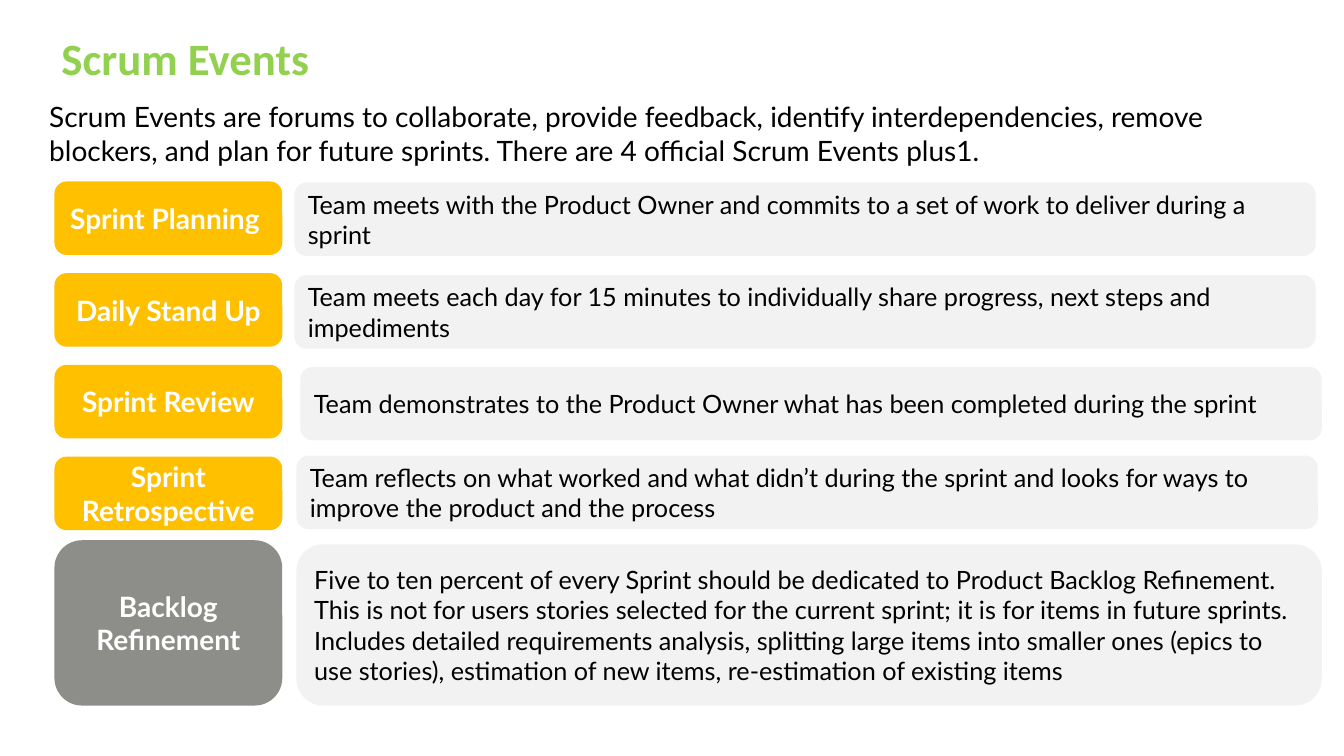
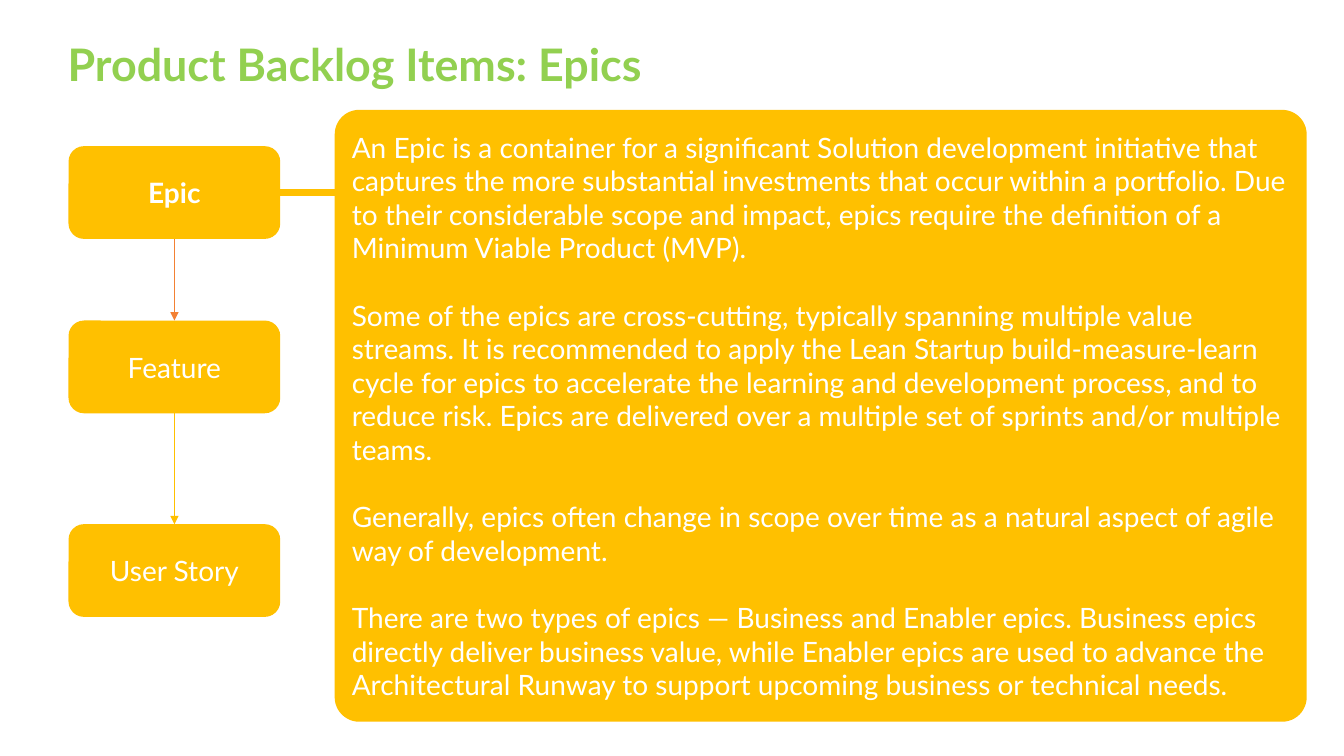
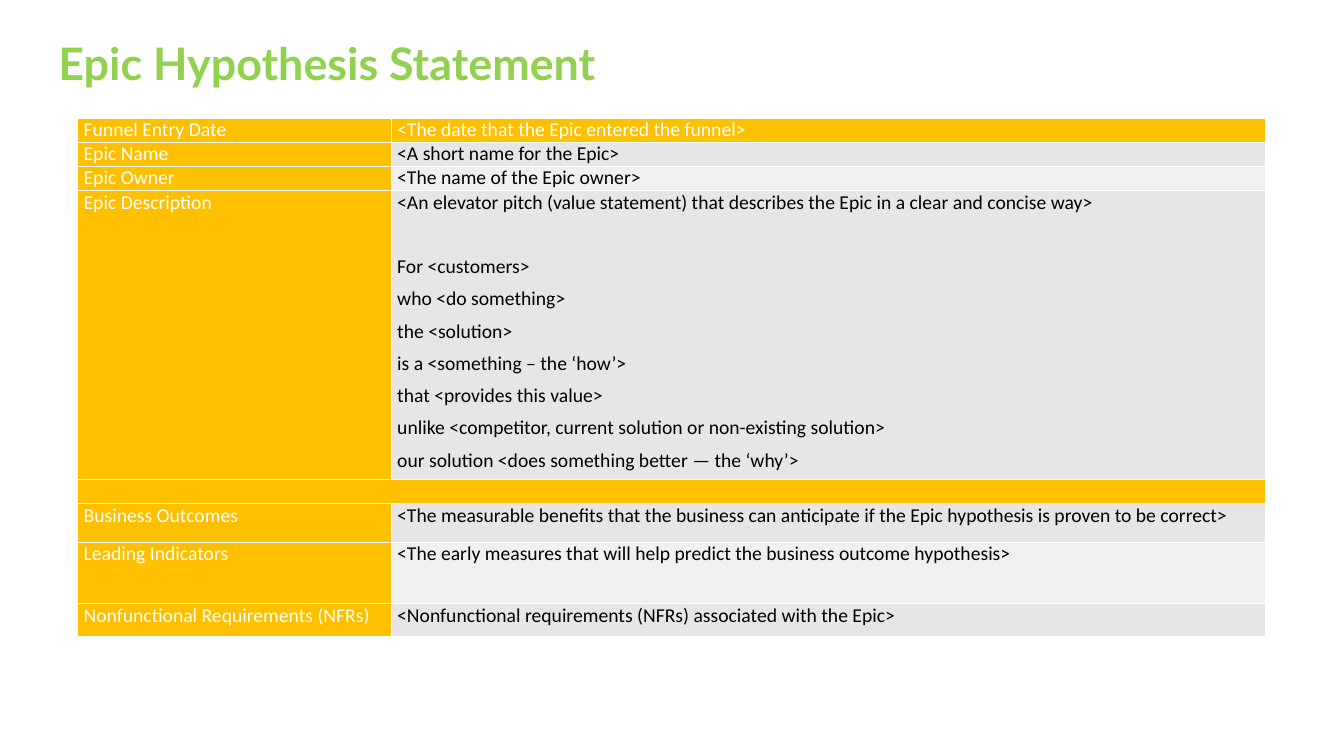
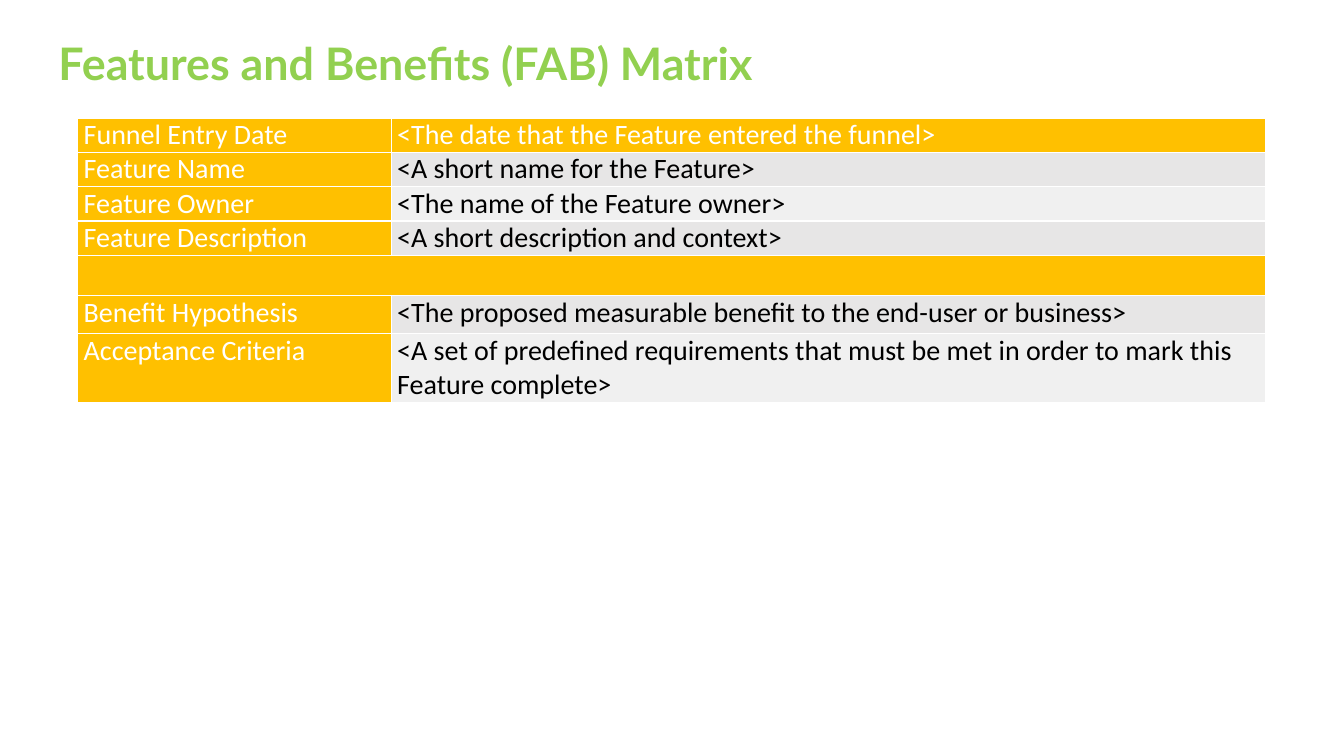
import pptx
import pptx.util
import pptx.dml.color
import pptx.enum.shapes
import pptx.enum.text
import pptx.oxml
import pptx.oxml.ns
from lxml import etree

Inches = pptx.util.Inches
Pt = pptx.util.Pt
ALIGN = pptx.enum.text.PP_ALIGN
ANCHOR = pptx.enum.text.MSO_ANCHOR

COLORS = {
    "title": "92D050",
    "accent": "FFC000",
    "arrow": "F38134",
    "gray": "8D8D8A",
    "panel": "F2F2F2",
    "band_dark": "E7E6E6",
    "band_light": "F0F0F0",
    "white": "FFFFFF",
    "black": "000000",
}


def rgb(name):
    return pptx.dml.color.RGBColor.from_string(COLORS[name])


def add_xml(parent, tag, **attrs):
    return etree.SubElement(parent, pptx.oxml.ns.qn(tag), **attrs)


class Deck:
    def __init__(self):
        self.prs = pptx.Presentation()
        self.prs.slide_width = Inches(13.33)
        self.prs.slide_height = Inches(7.5)
        self.s = None

    def fill_text(self, tf, paragraphs, size, color, font="Lato", bold=False,
                  align=ALIGN.LEFT, gap=0):
        """Fill a text frame; gap is the space in points between paragraphs."""
        tf.word_wrap = True
        for i, text in enumerate(paragraphs):
            p = tf.add_paragraph() if i else tf.paragraphs[0]
            p.text = text
            p.alignment = align
            p.space_before = Pt(gap if i else 0)
            for r in p.runs:
                r.font.name = font
                r.font.size = Pt(size)
                r.font.bold = bold
                r.font.color.rgb = rgb(color)

    def slide(self, title, left, top, width, font="Lato"):
        """Start a title-only slide."""
        self.s = self.prs.slides.add_slide(self.prs.slide_layouts[5])
        sp = self.s.shapes.title
        sp.left, sp.top = Inches(left), Inches(top)
        sp.width, sp.height = Inches(width), Inches(0.68)
        tf = sp.text_frame
        self.fill_text(tf, [title], 32, "title", font, bold=True)
        tf.auto_size = pptx.enum.text.MSO_AUTO_SIZE.NONE
        tf.vertical_anchor = ANCHOR.MIDDLE
        tf.margin_left = tf.margin_right = Inches(0.05)
        tf.margin_top = tf.margin_bottom = Inches(0.05)
        tf.paragraphs[0].line_spacing = 0.8

    def text(self, text, left, top, width, height, size):
        sp = self.s.shapes.add_textbox(
            Inches(left), Inches(top), Inches(width), Inches(height))
        self.fill_text(sp.text_frame, [text], size, "black")

    def box(self, paragraphs, left, top, width, height, fill="accent",
            size=20, color="white", radius=None, **style):
        sp = self.s.shapes.add_shape(
            pptx.enum.shapes.MSO_SHAPE.ROUNDED_RECTANGLE,
            Inches(left), Inches(top), Inches(width), Inches(height))
        sp.shadow.inherit = False
        sp.fill.solid()
        sp.fill.fore_color.rgb = rgb(fill)
        sp.line.fill.background()
        if radius is not None:
            sp.adjustments[0] = radius
        sp.text_frame.vertical_anchor = ANCHOR.MIDDLE
        self.fill_text(sp.text_frame, paragraphs, size, color, **style)
        return sp

    def line(self, start, side, color, width, end=None, end_side=0, length=0):
        """Join start to end with an arrow, or draw a plain line to the right."""
        x, y = start.left + start.width, start.top + start.height // 2
        c = self.s.shapes.add_connector(
            pptx.enum.shapes.MSO_CONNECTOR.STRAIGHT,
            x, y, x + Inches(length), y)
        c.begin_connect(start, side)
        c.line.color.rgb = rgb(color)
        c.line.width = Pt(width)
        sp_pr = c.element.spPr
        if end is not None:
            c.end_connect(end, end_side)
            ln = sp_pr.find(pptx.oxml.ns.qn("a:ln"))
            add_xml(ln, "a:tailEnd", type="triangle")
        add_xml(sp_pr, "a:effectLst")

    def cell(self, cell, paragraphs, fill, color, size):
        cell.fill.solid()
        cell.fill.fore_color.rgb = rgb(fill)
        cell.margin_left = cell.margin_right = Inches(0.06)
        cell.margin_top = cell.margin_bottom = 0
        self.fill_text(cell.text_frame, paragraphs, size, color, "Calibri",
                       gap=6)

    def table(self, rows, size):
        """Each row is (height, label, paragraphs); no label makes a divider."""
        heights = [height for height, _, _ in rows]
        t = self.s.shapes.add_table(
            len(rows), 2, Inches(0.77), Inches(1.17),
            Inches(11.78), Inches(sum(heights))).table
        t.first_row = t.horz_banding = False
        t.columns[0].width, t.columns[1].width = Inches(3.11), Inches(8.67)
        for i, (height, label, paragraphs) in enumerate(rows):
            t.rows[i].height = Inches(height)
            head, value = t.cell(i, 0), t.cell(i, 1)
            if not label:
                head.merge(value)
                self.cell(head, [""], "accent", "white", size)
                add_xml(head.text_frame.paragraphs[0]._p, "a:endParaRPr",
                        sz=str(size * 100))
                continue
            self.cell(head, [label], "accent", "white", size)
            fill, color = "accent", "white"
            if i:
                fill = "band_dark" if i % 2 else "band_light"
                color = "black"
            self.cell(value, paragraphs, fill, color, size)
        return t


def events_slide(d):
    d.slide("Scrum Events", 0.56, 0.28, 12.11, font="Calibri")
    d.text("Scrum Events are forums to collaborate, provide feedback, identify "
           "interdependencies, remove blockers, and plan for future sprints. "
           "There are 4 official Scrum Events plus1.",
           0.39, 0.94, 11.9, 0.77, 20)
    events = [
        ("Sprint Planning ", 2.92, 1.81,
         "Team meets with the Product Owner and commits to a set of work to "
         "deliver during a sprint"),
        ("Daily Stand Up", 2.92, 2.73,
         "Team meets each day for 15 minutes to individually share progress, "
         "next steps and impediments"),
        ("Sprint Review", 2.98, 3.64,
         "Team demonstrates to the Product Owner what has been completed "
         "during the sprint"),
        ("Sprint Retrospective", 2.94, 4.52,
         "Team reflects on what worked and what didn’t during the sprint and "
         "looks for ways to improve the product and the process"),
    ]
    label = dict(bold=True, align=ALIGN.CENTER)
    detail = dict(fill="panel", size=18, color="black")
    for i, (name, left, top, description) in enumerate(events):
        d.box([name], 0.54, 1.8 + 0.91 * i, 2.26, 0.73, **label)
        d.box([description], left, top, 10.13, 0.73, **detail)
    d.box(["Backlog Refinement"], 0.54, 5.36, 2.26, 1.64, fill="gray", **label)
    d.box(["Five to ten percent of every Sprint should be dedicated to Product "
           "Backlog Refinement. This is not for users stories selected for the "
           "current sprint; it is for items in future sprints. Includes "
           "detailed requirements analysis, splitting large items into smaller "
           "ones (epics to use stories), estimation of new items, "
           "re-estimation of existing items"],
          2.94, 5.4, 10.17, 1.6, **detail)


def epics_slide(d):
    d.slide("Product Backlog Items: Epics", 0.62, 0.34, 11.69)
    epic, feature, story = [
        d.box([name], 0.68, top, 2.1, 0.92, bold=name == "Epic",
              align=ALIGN.CENTER)
        for name, top in (("Epic", 1.45), ("Feature", 3.18),
                          ("User Story", 5.2))]
    d.line(epic, 2, "arrow", 0.5, end=feature)
    d.line(feature, 2, "accent", 0.5, end=story)
    d.box([
        "An Epic is a container for a significant Solution development "
        "initiative that captures the more substantial investments that occur "
        "within a portfolio. Due to their considerable scope and impact, epics "
        "require the definition of a Minimum Viable Product (MVP).",
        "Some of the epics are cross-cutting, typically spanning multiple value "
        "streams. It is recommended to apply the Lean Startup "
        "build-measure-learn cycle for epics to accelerate the learning and "
        "development process, and to reduce risk. Epics are delivered over a "
        "multiple set of sprints and/or multiple teams.",
        "Generally, epics often change in scope over time as a natural aspect "
        "of agile way of development.",
        "There are two types of epics — Business and Enabler epics. Business "
        "epics directly deliver business value, while Enabler epics are used "
        "to advance the Architectural Runway to support upcoming business or "
        "technical needs.",
    ], 3.32, 1.09, 9.64, 6.07, radius=0.04, gap=24)
    d.line(epic, 3, "accent", 4.5, length=0.54)


def hypothesis_slide(d):
    d.slide("Epic Hypothesis Statement", 0.53, 0.33, 12.94)
    t = d.table([
        (0.24, "Funnel Entry Date",
         ["<The date that the Epic entered the funnel>"]),
        (0.24, "Epic Name", ["<A short name for the Epic>"]),
        (0.24, "Epic Owner", ["<The name of the Epic owner>"]),
        (2.87, "Epic Description", [
            "<An elevator pitch (value statement) that describes the Epic in a "
            "clear and concise way>",
            "For <customers>",
            "who <do something>",
            "the <solution>",
            "is a <something – the ‘how’>",
            "that <provides this value>",
            "unlike <competitor, current solution or non-existing solution>",
            "our solution <does something better — the ‘why’>"]),
        (0.24, "", []),
        (0.38, "Business Outcomes",
         ["<The measurable benefits that the business can anticipate if the "
          "Epic hypothesis is proven to be correct>"]),
        (0.61, "Leading Indicators",
         ["<The early measures that will help predict the business outcome "
          "hypothesis>"]),
        (0.33, "Nonfunctional Requirements (NFRs)",
         ["<Nonfunctional requirements (NFRs) associated with the Epic>"]),
    ], 14)
    t.cell(3, 1).text_frame.paragraphs[1].space_before = Pt(29)


def benefits_slide(d):
    d.slide("Features and Benefits (FAB) Matrix", 0.53, 0.33, 12.94)
    d.table([
        (0.34, "Funnel Entry Date",
         ["<The date that the Feature entered the funnel>"]),
        (0.34, "Feature Name", ["<A short name for the Feature>"]),
        (0.34, "Feature Owner", ["<The name of the Feature owner>"]),
        (0.34, "Feature Description", ["<A short description and context>"]),
        (0.4, "", []),
        (0.38, "Benefit Hypothesis",
         ["<The proposed measurable benefit to the end-user or business>"]),
        (0.68, "Acceptance Criteria",
         ["<A set of predefined requirements that must be met in order to mark "
          "this Feature complete>"]),
    ], 20)


def main():
    d = Deck()
    events_slide(d)
    epics_slide(d)
    hypothesis_slide(d)
    benefits_slide(d)
    d.prs.save("out.pptx")


if __name__ == "__main__":
    main()
